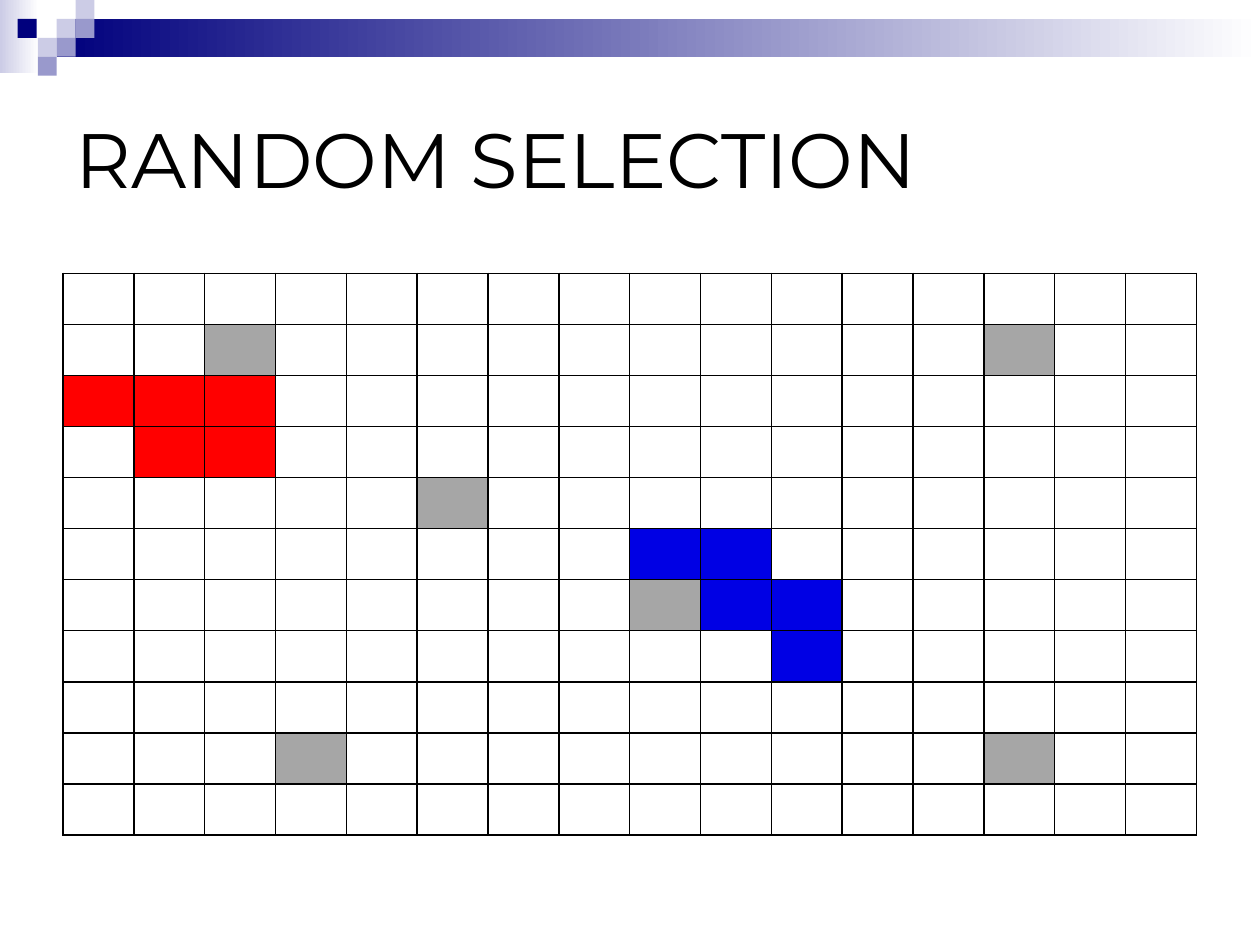
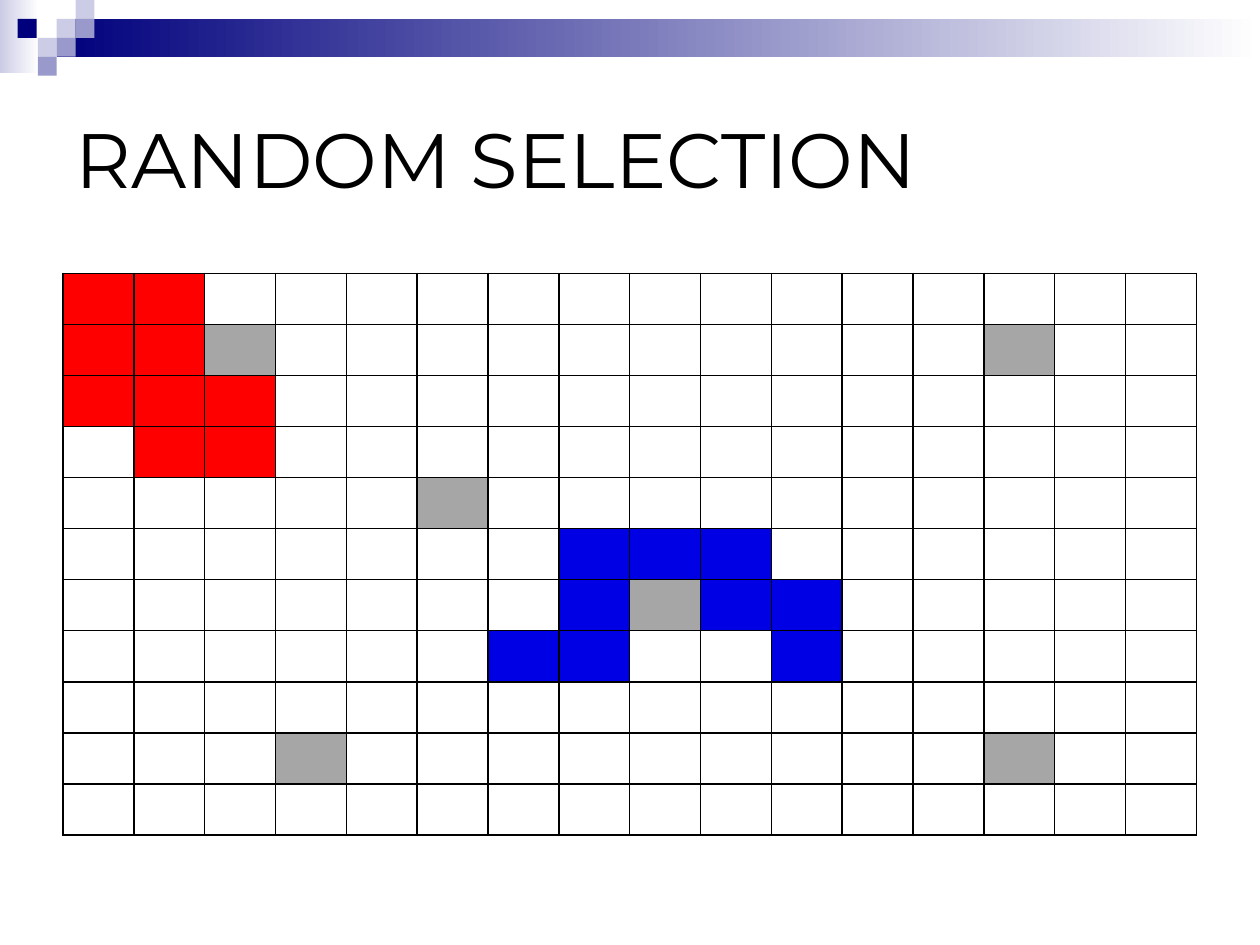
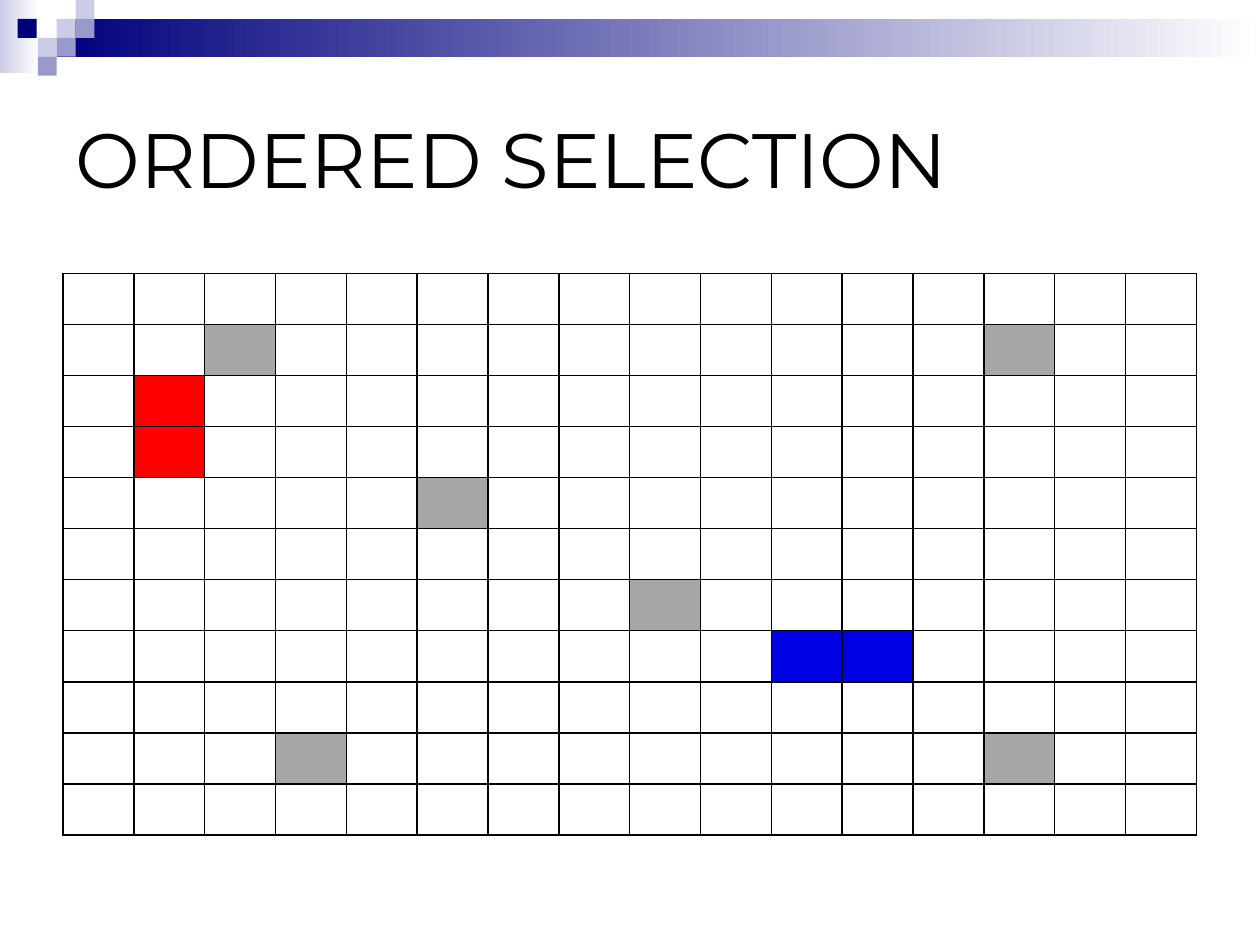
"""Build three slides that show how regions grow on a grid of cells."""
import itertools

import lxml.etree
import pptx
import pptx.dml.color
import pptx.enum.shapes
import pptx.enum.text
import pptx.oxml.ns
import pptx.util

COLORS = {
    "navy": "00007D", "violet": "9999CC", "lavender": "CCCCE6", "white": "FFFFFF",
    "black": "000000", "red": "FF0000", "blue": "0000E4", "gray": "A6A6A6",
}
FONT = "Montserrat"
GRID_COLUMNS, GRID_ROWS = 100, 75
TILE = 1.5
TILES = [
    (3 * TILE, TILE, "lavender"), (4 * TILE, 0, "lavender"), (4 * TILE, TILE, "violet"),
    (2 * TILE, 2 * TILE, "lavender"), (1.4, TILE, "navy"),
    (3 * TILE, 2 * TILE, "violet"), (2 * TILE, 3 * TILE, "violet"),
]
TITLE_BOX = (5, 5, 90, 15)
TABLE_BOX = (5, 21.7, 90, 44.6)
TABLE_ROWS, TABLE_COLUMNS = 11, 16

OBSTACLES = {(1, 2), (1, 13), (4, 5), (6, 8), (9, 3), (9, 13)}
RED_START = {(2, 0), (2, 1), (2, 2), (3, 1), (3, 2)}
RED_GROWTH = {(0, 0), (0, 1), (1, 0), (1, 1)}
BLUE_START = {(5, 8), (5, 9), (6, 9), (6, 10), (7, 10)}
BLUE_GROWTH = {(5, 7), (6, 7), (7, 6), (7, 7)}
SELECTIONS = [
    ("RANDOM SELECTION", RED_START, BLUE_START),
    ("RANDOM SELECTION", RED_START | RED_GROWTH, BLUE_START | BLUE_GROWTH),
    ("ORDERED SELECTION", {(2, 1), (3, 1)}, {(7, 10), (7, 11)}),
]


def rgb(name):
    return pptx.dml.color.RGBColor.from_string(COLORS[name])


def write_text(text_frame, text, size=44, color="black", font=FONT,
               align=pptx.enum.text.PP_ALIGN.LEFT, anchor=pptx.enum.text.MSO_ANCHOR.MIDDLE):
    text_frame.word_wrap = True
    text_frame.auto_size = pptx.enum.text.MSO_AUTO_SIZE.NONE
    text_frame.vertical_anchor = anchor
    paragraph = text_frame.paragraphs[0]
    paragraph.alignment = align
    run = paragraph.add_run()
    run.text = text
    run.font.name = font
    run.font.size = pptx.util.Pt(size)
    run.font.color.rgb = rgb(color)


class Deck:
    def __init__(self):
        self.presentation = pptx.Presentation()
        self.presentation.slide_width = pptx.util.Inches(10)
        self.presentation.slide_height = pptx.util.Inches(7.5)
        self.slide = None

    def place(self, left, top, width, height):
        column = self.presentation.slide_width / GRID_COLUMNS
        row = self.presentation.slide_height / GRID_ROWS
        return [round(length) for length in (left * column, top * row, width * column, height * row)]

    def add_slide(self, title):
        self.slide = self.presentation.slides.add_slide(self.presentation.slide_layouts[5])
        self.add_header()
        shape = self.slide.shapes.title
        shape.left, shape.top, shape.width, shape.height = self.place(*TITLE_BOX)
        write_text(shape.text_frame, title)

    def add_header(self):
        shapes = self.slide.shapes.add_group_shape().shapes
        self.add_block(shapes, (0, 0, 3.1, 5.8), "lavender", "white")
        self.add_block(shapes, (3 * TILE, TILE, GRID_COLUMNS - 3 * TILE, 2 * TILE), "navy", "white")
        for left, top, color in TILES:
            self.add_block(shapes, (left, top, TILE, TILE), color)

    def add_block(self, shapes, box, color, end_color=None):
        shape = shapes.add_shape(pptx.enum.shapes.MSO_SHAPE.RECTANGLE, *self.place(*box))
        shape.shadow.inherit = False
        shape.line.fill.background()
        if end_color:
            shape.fill.gradient()
            shape.fill.gradient_angle = 0
            for stop, name in zip(shape.fill.gradient_stops, (color, end_color)):
                stop.color.rgb = rgb(name)
        else:
            shape.fill.solid()
            shape.fill.fore_color.rgb = rgb(color)

    def add_cell_map(self, regions):
        left, top, width, height = self.place(*TABLE_BOX)
        table = self.slide.shapes.add_table(TABLE_ROWS, TABLE_COLUMNS, left, top, width, height).table
        table.first_row = table.horz_banding = False
        for column in table.columns:
            column.width = round(width / TABLE_COLUMNS)
        for row in table.rows:
            row.height = round(height / TABLE_ROWS)
        fills = {position: color for color, positions in regions.items() for position in positions}
        for position in itertools.product(range(TABLE_ROWS), range(TABLE_COLUMNS)):
            self.format_cell(table.cell(*position), fills.get(position, "white"))

    def format_cell(self, cell, color):
        cell.margin_top = cell.margin_bottom = 0
        properties = cell._tc.get_or_add_tcPr()
        qualify = pptx.oxml.ns.qn
        for side in ("L", "R", "T", "B"):
            border = lxml.etree.SubElement(properties, qualify(f"a:ln{side}"), w=str(pptx.util.Pt(1)))
            fill = lxml.etree.SubElement(border, qualify("a:solidFill"))
            lxml.etree.SubElement(fill, qualify("a:srgbClr"), val=COLORS["black"])
        cell.fill.solid()
        cell.fill.fore_color.rgb = rgb(color)


def main():
    deck = Deck()
    for title, red, blue in SELECTIONS:
        deck.add_slide(title)
        deck.add_cell_map({"gray": OBSTACLES, "red": red, "blue": blue})
    deck.presentation.save("out.pptx")


if __name__ == "__main__":
    main()
